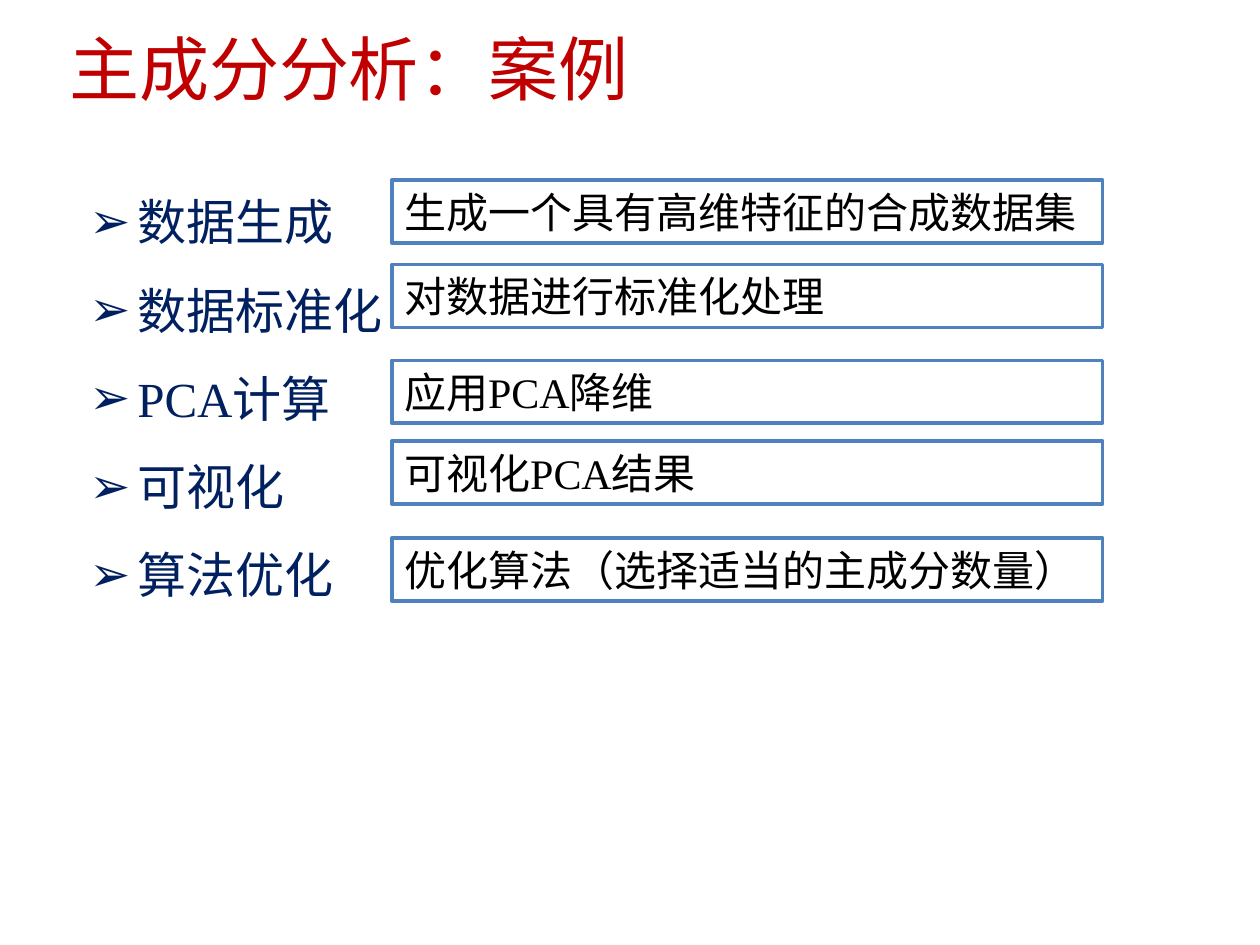
import dataclasses

import pptx
import pptx.dml.color
import pptx.enum.shapes
import pptx.enum.text
import pptx.oxml.ns
import pptx.util
from lxml import etree

PX = 9144
ALIGN = pptx.enum.text.PP_ALIGN
ANCHOR = pptx.enum.text.MSO_ANCHOR
GROW = pptx.enum.text.MSO_AUTO_SIZE.SHAPE_TO_FIT_TEXT

STEPS = [
    ("数据生成", "生成一个具有高维特征的合成数据集", 0),
    ("数据标准化", "对数据进行标准化处理", 67),
    ("PCA计算", "应用PCA降维", 143),
    ("可视化", "可视化PCA结果", 207),
    ("算法优化", "优化算法（选择适当的主成分数量）", 284),
]


@dataclasses.dataclass(frozen=True)
class Theme:
    """Colours, fonts and type sizes of the deck."""
    title: str = "C00000"
    step: str = "002060"
    note: str = "000000"
    paper: str = "FFFFFF"
    border: str = "4F81BD"
    latin: str = "Times New Roman"
    asian: str = "Noto Sans CJK JP"
    title_size: int = 40
    step_size: int = 28
    note_size: int = 24


THEME = Theme()


def colour(code):
    """Turn a hex code into a colour."""
    return pptx.dml.color.RGBColor.from_string(code)


def place(shape, left, top, width, height):
    """Put a shape at a box given in px."""
    shape.left, shape.top = left * PX, top * PX
    shape.width, shape.height = width * PX, height * PX


def add_span(para, text, size, code, latin):
    """Add one formatted run to a paragraph."""
    span = para.add_run()
    span.text = text
    span.font.size = pptx.util.Pt(size)
    span.font.name = latin
    span.font.color.rgb = colour(code)
    asian = etree.SubElement(span.font._element, pptx.oxml.ns.qn("a:ea"))
    asian.set("typeface", THEME.asian)


def add_bullet(para, indent):
    """Give a paragraph an arrow bullet with a hanging indent in px."""
    properties = para._p.get_or_add_pPr()
    properties.set("marL", str(indent * PX))
    properties.set("indent", str(-indent * PX))
    etree.SubElement(properties, pptx.oxml.ns.qn("a:buChar")).set("char", "➢")


def fill_title(box, left, top, width, height):
    """Write the heading into the title placeholder."""
    place(box, left, top, width, height)
    frame = box.text_frame
    frame.vertical_anchor = ANCHOR.MIDDLE
    frame.margin_top = 16 * PX
    para = frame.paragraphs[0]
    para.alignment = ALIGN.LEFT
    para.line_spacing = 0.9
    add_span(para, "主成分分析：案例", THEME.title_size, THEME.title, THEME.asian)


def fill_steps(box, left, top, width, height):
    """Write the bulleted steps into the body placeholder."""
    place(box, left, top, width, height)
    frame = box.text_frame
    frame.word_wrap = True
    frame.auto_size = GROW
    for index, (step, _, _) in enumerate(STEPS):
        para = frame.add_paragraph() if index else frame.paragraphs[0]
        add_bullet(para, 38)
        para.alignment = ALIGN.JUSTIFY
        para.line_spacing = 1.5
        para.space_before = pptx.util.Pt(0)
        add_span(para, step, THEME.step_size, THEME.step, THEME.latin)


def add_notes_column(page, left, top, width, height):
    """Add one outlined explanation beside each step."""
    for _, note, offset in STEPS:
        box = page.shapes.add_shape(
            pptx.enum.shapes.MSO_SHAPE.RECTANGLE,
            left * PX, (top + offset) * PX, width * PX, height * PX)
        box.shadow.inherit = False
        box.fill.solid()
        box.fill.fore_color.rgb = colour(THEME.paper)
        box.line.color.rgb = colour(THEME.border)
        box.line.width = pptx.util.Pt(2)
        frame = box.text_frame
        frame.word_wrap = True
        frame.auto_size = GROW
        frame.vertical_anchor = ANCHOR.TOP
        para = frame.paragraphs[0]
        para.alignment = ALIGN.LEFT
        add_span(para, note, THEME.note_size, THEME.note, THEME.latin)


def main():
    """Build and save the deck."""
    deck = pptx.Presentation()
    deck.slide_width, deck.slide_height = 1000 * PX, 750 * PX
    page = deck.slides.add_slide(deck.slide_layouts[1])
    fill_title(page.shapes.title, 45, 16, 939, 72)
    fill_steps(page.placeholders[1], 61, 124, 878, 355)
    add_notes_column(page, 311, 143, 564, 50)
    deck.save("out.pptx")


if __name__ == "__main__":
    main()
